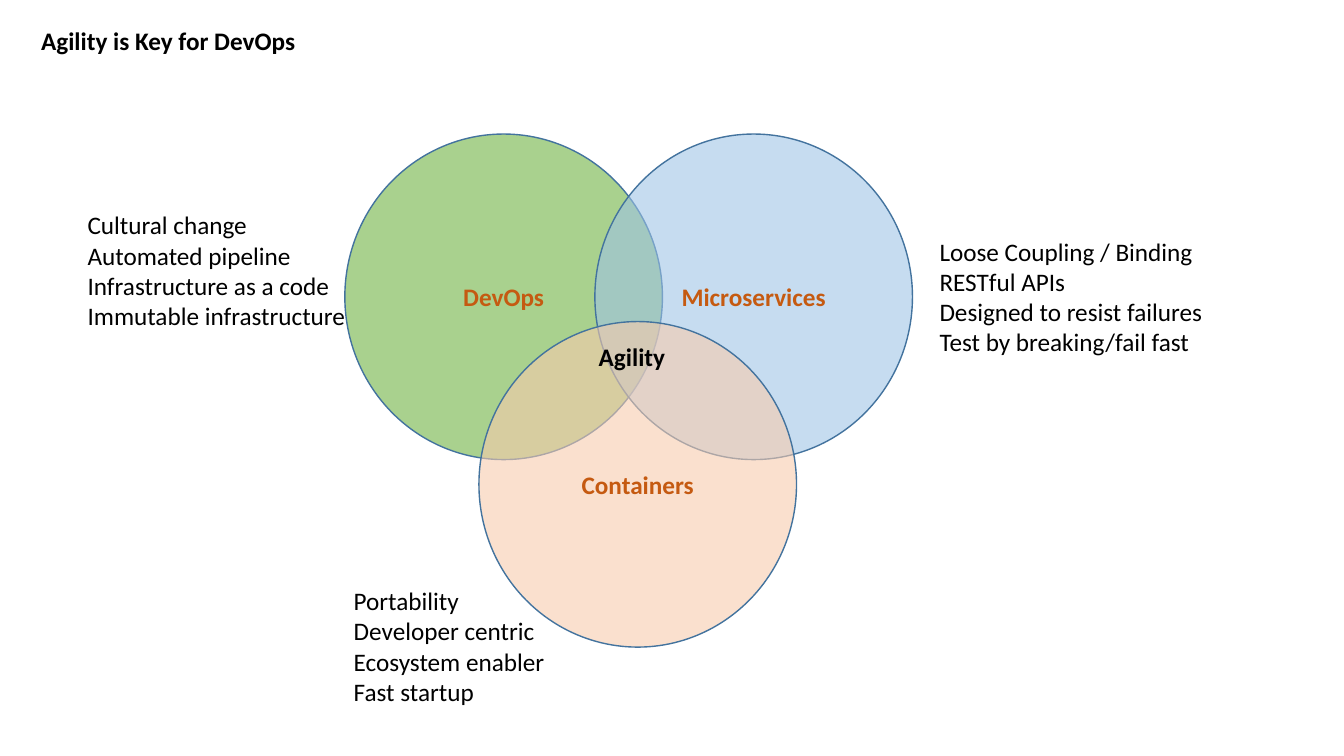
import dataclasses

import pptx
import pptx.dml.color
import pptx.enum.shapes
import pptx.enum.text
import pptx.oxml
import pptx.oxml.ns
import pptx.util

PX = 9144  # EMU per px, 100 px to the inch


@dataclasses.dataclass(frozen=True)
class Theme:
    font: str = "Calibri"
    size: int = 18
    ink: str = "000000"
    label: str = "C55A11"
    edge: str = "43739E"
    green: str = "A9D18E"
    blue: str = "9DC3E6"
    peach: str = "F8CBAD"


THEME = Theme()
DISC = (315, 323)

CIRCLES = [
    ("DevOps", 342, 133, THEME.green, 100),
    ("Microservices", 590, 133, THEME.blue, 58),
    ("Containers", 475, 319, THEME.peach, 59),
]
NOTES = [
    (77, 203, 278, ["Cultural change", "Automated pipeline",
                    "Infrastructure as a code", "Immutable infrastructure"]),
    (922, 229, 287, ["Loose Coupling / Binding", "RESTful APIs",
                     "Designed to resist failures", "Test by breaking/fail fast"]),
    (341, 576, 214, ["Portability", "Developer centric",
                     "Ecosystem enabler", "Fast startup"]),
]


def color(code):
    return pptx.dml.color.RGBColor.from_string(code)


def scale(*sizes):
    return [size * PX for size in sizes]


def style(frame, code, bold):
    for para in frame.paragraphs:
        for run in para.runs:
            run.font.name = THEME.font
            run.font.size = pptx.util.Pt(THEME.size)
            run.font.bold = bold
            run.font.color.rgb = color(code)


def fade(shape, percent):
    """Make the solid fill of a shape partly see-through."""
    tint = shape.fill._xPr.find(".//" + pptx.oxml.ns.qn("a:srgbClr"))
    alpha = pptx.oxml.parse_xml(
        f'<a:alpha {pptx.oxml.ns.nsdecls("a")} val="{percent * 1000}"/>')
    tint.append(alpha)


def add_disc(shapes, name, left, top, fill, percent):
    disc = shapes.add_shape(pptx.enum.shapes.MSO_SHAPE.OVAL,
                            *scale(left, top, *DISC))
    disc.shadow.inherit = False
    disc.fill.solid()
    disc.fill.fore_color.rgb = color(fill)
    if percent < 100:
        fade(disc, percent)
    disc.line.color.rgb = color(THEME.edge)
    disc.line.width = pptx.util.Pt(1)
    frame = disc.text_frame
    frame.text = name
    frame.vertical_anchor = pptx.enum.text.MSO_ANCHOR.MIDDLE
    frame.paragraphs[0].alignment = pptx.enum.text.PP_ALIGN.CENTER
    style(frame, THEME.label, True)


def add_text(shapes, lines, box, bold=False, wrap=False):
    frame = shapes.add_textbox(*scale(*box)).text_frame
    frame.text = "\n".join(lines)
    frame.word_wrap = wrap
    frame.auto_size = pptx.enum.text.MSO_AUTO_SIZE.SHAPE_TO_FIT_TEXT
    style(frame, THEME.ink, bold)


def main():
    deck = pptx.Presentation()
    deck.slide_width, deck.slide_height = scale(1333, 750)
    slide = deck.slides.add_slide(deck.slide_layouts[6])
    add_text(slide.shapes, ["Agility is Key for DevOps"],
             (31, 20, 417, 40), bold=True, wrap=True)
    venn = slide.shapes.add_group_shape().shapes
    for circle in CIRCLES:
        add_disc(venn, *circle)
    add_text(venn, ["Agility"], (584, 334, 86, 40), bold=True)
    for left, top, width, lines in NOTES:
        add_text(venn, lines, (left, top, width, 131))
    deck.save("out.pptx")


if __name__ == "__main__":
    main()
